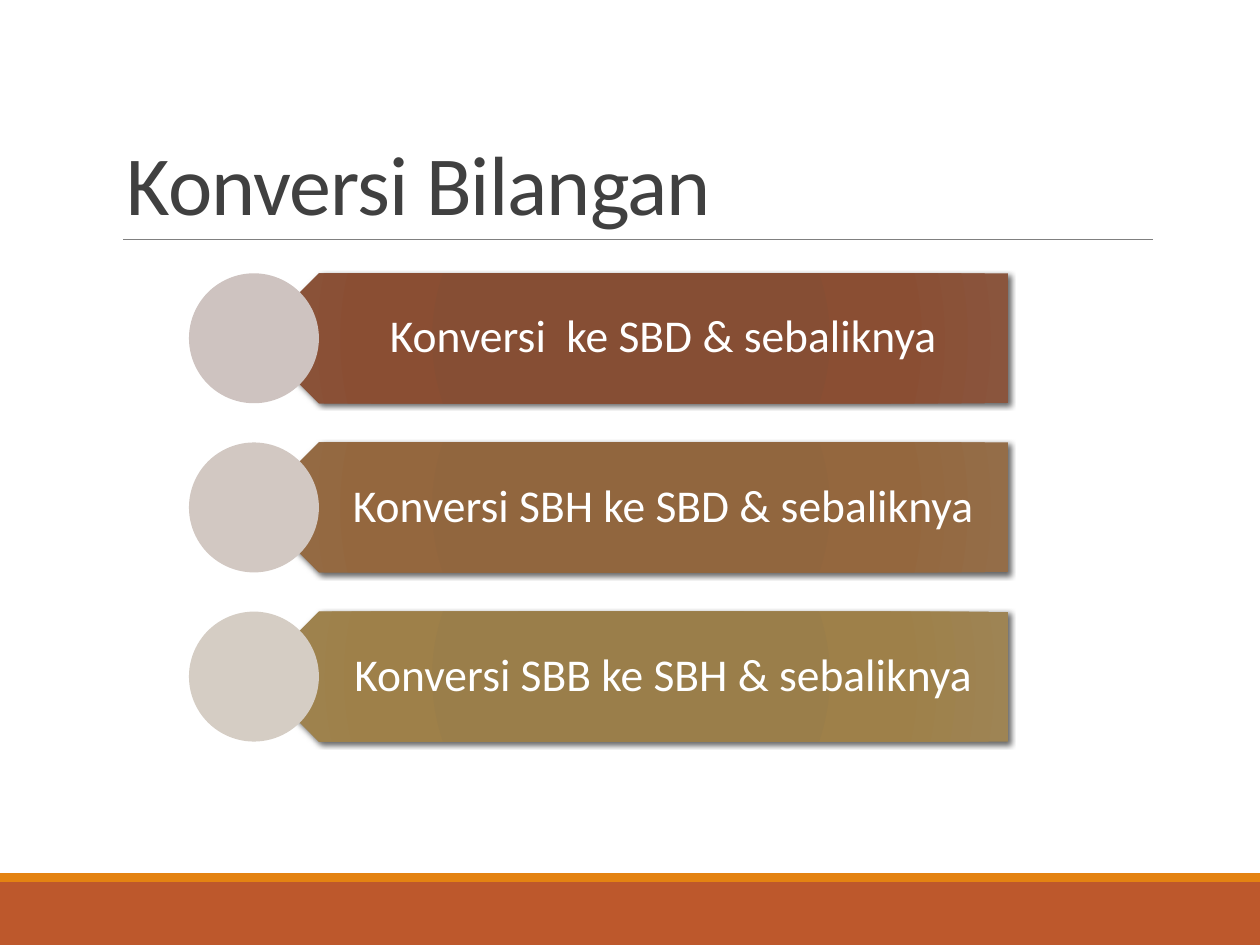
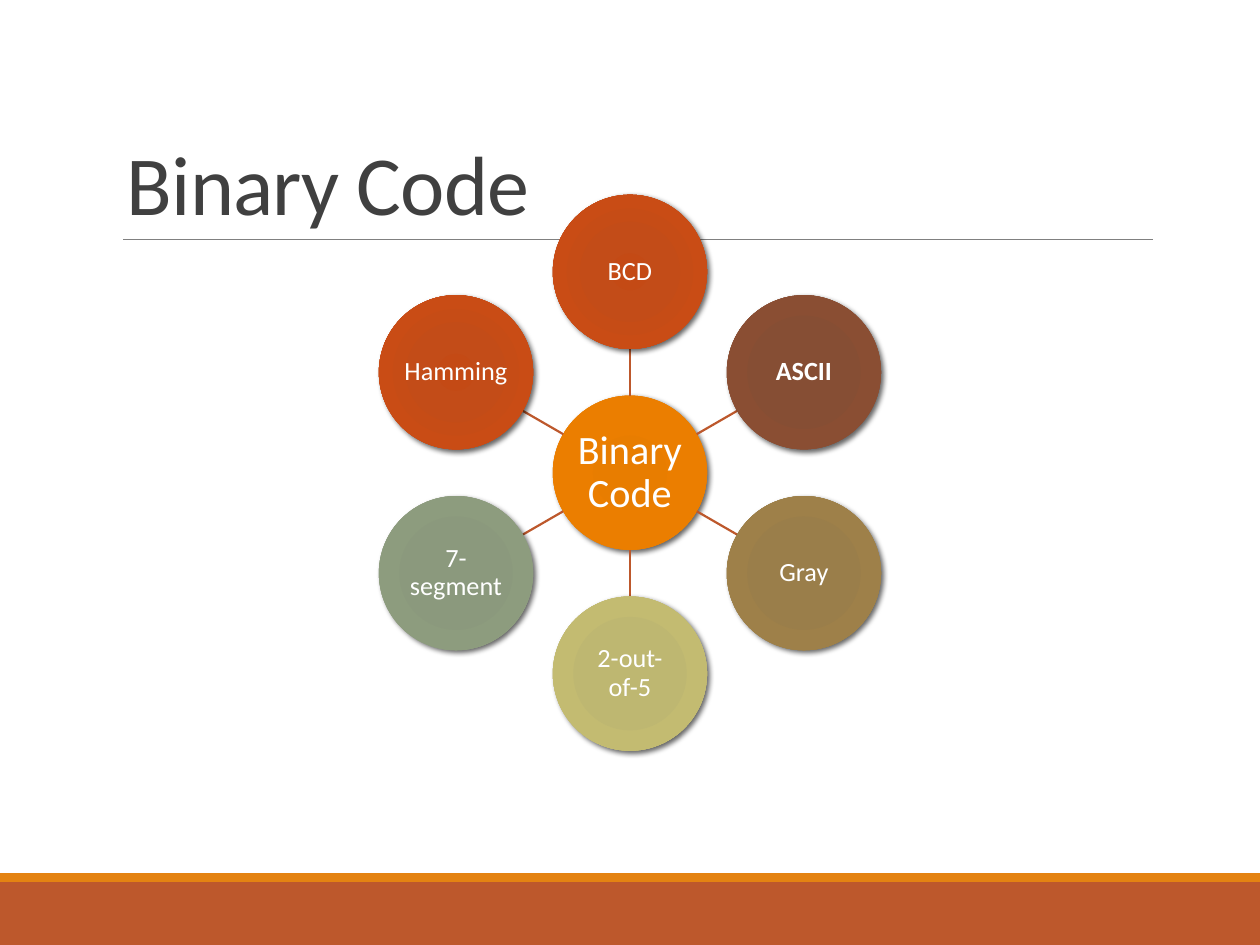
from dataclasses import dataclass
from math import cos, radians, sin
from typing import Any

from lxml import etree
from pptx import Presentation
from pptx.dml.color import RGBColor
from pptx.enum.shapes import MSO_CONNECTOR, MSO_SHAPE
from pptx.enum.text import MSO_ANCHOR, PP_ALIGN
from pptx.oxml.ns import qn
from pptx.util import Cm, Pt

STRAIGHT = MSO_CONNECTOR.STRAIGHT
RECTANGLE, PENTAGON, OVAL = MSO_SHAPE.RECTANGLE, MSO_SHAPE.PENTAGON, MSO_SHAPE.OVAL
MIDDLE, BOTTOM = MSO_ANCHOR.MIDDLE, MSO_ANCHOR.BOTTOM
CENTER, LEFT = PP_ALIGN.CENTER, PP_ALIGN.LEFT

FONT = "Calibri"
COLOURS = {
    "band": "BD582C", "stripe": "E48312", "rule": "808080",
    "title": "404040", "white": "FFFFFF", "shadow": "000000",
    "rose": "CEC3C0", "taupe": "D2C8C2", "sand": "D5CDC4",
}
# Radial gradients, one colour for each stop
STOPS = (0, 34, 70, 100)
GRADIENTS = {
    "orange": ("E57B00", "E87D00", "EB7E00", "EF8407"),
    "red": ("C44A15", "C34C18", "C94C15", "C45525"),
    "brown": ("874C32", "864E34", "8A4E33", "8A553D"),
    "copper": ("91653C", "91663E", "94673E", "946D48"),
    "bronze": ("9A7D48", "9A7E4A", "9E8049", "9E8454"),
    "olive": ("BEB76E", "BEB771", "C3BB71", "C5BF7D"),
    "sage": ("8A987B", "8B997D", "8D9C7E", "94A187"),
}

# Page measures in cm
PAGE_WIDTH, PAGE_HEIGHT = 25.4, 19.05
BAND_TOP, STRIPE_HEIGHT = 17.78, 0.18
RULE_LEFT, RULE_RIGHT, RULE_Y = 2.48, 23.24, 4.83
TITLE_AREA = (2.31, 0.79, 20.95, 4.04)

# Bar list measures in cm
BAR_LEFT, BAR_TOP, BAR_WIDTH, BAR_HEIGHT, BAR_PITCH = 5.12, 5.51, 15.2, 2.62, 3.41
LABEL_INDENT = 0.65

# Wheel measures in cm
HUB_X, HUB_Y, DIAMETER, ORBIT = 12.7, 9.53, 3.11, 4.05


@dataclass(frozen=True)
class TextStyle:
    size: float
    colour: str = "white"
    bold: bool = False
    spacing: float = 0.9
    align: Any = CENTER
    anchor: Any = MIDDLE
    margins: tuple[float, float, float, float] = (0.03, 0.03, 0.03, 0.03)
    tracking: int = 0


@dataclass(frozen=True)
class Bar:
    label: str
    gradient: str
    dot: str


@dataclass(frozen=True)
class Code:
    label: str
    gradient: str
    bold: bool = False


TITLE_STYLE = TextStyle(48, "title", False, 0.85, LEFT, BOTTOM,
                        (0.25, 0.13, 0.25, 0.13), -50)
BAR_STYLE = TextStyle(26, margins=(1.17, 0.28, 0.51, 0.28))
# The hub label needs the full width of its disc to stay on two lines
HUB_STYLE = TextStyle(23, margins=(0, 0, 0, 0))

BARS = (
    Bar("Konversi  ke SBD & sebaliknya", "brown", "rose"),
    Bar("Konversi SBH ke SBD & sebaliknya", "copper", "taupe"),
    Bar("Konversi SBB ke SBH & sebaliknya", "bronze", "sand"),
)
# Clockwise from the top
CODES = (
    Code("BCD", "red"),
    Code("ASCII", "brown", True),
    Code("Gray", "bronze"),
    Code("2-out-of-5", "olive"),
    Code("7-segment", "sage"),
    Code("Hamming", "red"),
)


def rgb(name: str) -> RGBColor:
    return RGBColor.from_string(COLOURS[name])


def set_values(target: Any, values: dict[str, Any]) -> None:
    for name, value in values.items():
        setattr(target, name, value)


def add_node(parent: Any, tag: str, **values: Any) -> Any:
    return etree.SubElement(parent, qn(tag), {k: str(v) for k, v in values.items()})


def write_text(shape: Any, text: str, style: TextStyle) -> None:
    frame = shape.text_frame
    left, top, right, bottom = map(Cm, style.margins)
    set_values(frame, {
        "word_wrap": True, "vertical_anchor": style.anchor,
        "margin_left": left, "margin_top": top,
        "margin_right": right, "margin_bottom": bottom,
    })
    para = frame.paragraphs[0]
    set_values(para, {"alignment": style.align, "line_spacing": style.spacing})
    span = para.add_run()
    span.text = text
    set_values(span.font, {"name": FONT, "size": Pt(style.size), "bold": style.bold})
    span.font.color.rgb = rgb(style.colour)
    if style.tracking:
        span.font._element.set("spc", str(style.tracking))


def add_box(page: Any, area: tuple[float, ...], text: str, style: TextStyle) -> None:
    write_text(page.shapes.add_textbox(*map(Cm, area)), text, style)


def add_flat(page: Any, kind: Any, area: tuple[float, ...], colour: str) -> Any:
    shape = page.shapes.add_shape(kind, *map(Cm, area))
    shape.shadow.inherit = False
    shape.fill.solid()
    shape.fill.fore_color.rgb = rgb(colour)
    shape.line.fill.background()
    return shape


def add_glossy(page: Any, kind: Any, area: tuple[float, ...], gradient: str) -> Any:
    """Add a shape with a radial gradient and a soft shadow."""
    shape = add_flat(page, kind, area, "white")
    shape.fill.gradient()
    properties = shape.element.spPr
    fill = properties.find(qn("a:gradFill"))
    fill.clear()
    fill.set("rotWithShape", "1")
    stops = add_node(fill, "a:gsLst")
    for position, colour in zip(STOPS, GRADIENTS[gradient]):
        stop = add_node(stops, "a:gs", pos=position * 1000)
        add_node(stop, "a:srgbClr", val=colour)
    circle = add_node(fill, "a:path", path="circle")
    add_node(circle, "a:fillToRect", l=100000, t=100000, r=100000, b=100000)

    shadow = add_node(properties.find(qn("a:effectLst")), "a:outerShdw",
                      blurRad=Pt(3), dist=Pt(2), dir=45 * 60000, rotWithShape=0)
    tint = add_node(shadow, "a:srgbClr", val=COLOURS["shadow"])
    add_node(tint, "a:alpha", val=60000)
    return shape


def add_line(page: Any, ends: tuple[float, ...], colour: str, width: float) -> None:
    connector = page.shapes.add_connector(STRAIGHT, *map(Cm, ends))
    connector.line.color.rgb = rgb(colour)
    connector.line.width = Pt(width)
    add_node(connector.element.spPr, "a:effectLst")


def add_page(deck: Any, title: str) -> Any:
    """Add a blank page with the shared bands, rule and title."""
    page = deck.slides.add_slide(deck.slide_layouts[6])
    add_flat(page, RECTANGLE, (0, BAND_TOP, PAGE_WIDTH, PAGE_HEIGHT - BAND_TOP), "band")
    add_flat(page, RECTANGLE,
             (0, BAND_TOP - STRIPE_HEIGHT, PAGE_WIDTH, STRIPE_HEIGHT), "stripe")
    add_line(page, (RULE_LEFT, RULE_Y, RULE_RIGHT, RULE_Y), "rule", 0.5)
    add_box(page, TITLE_AREA, title, TITLE_STYLE)
    return page


def draw_bars(page: Any) -> None:
    for row, bar in enumerate(BARS):
        top = BAR_TOP + row * BAR_PITCH
        plate = add_glossy(page, PENTAGON, (BAR_LEFT, top, BAR_WIDTH, BAR_HEIGHT),
                           bar.gradient)
        plate.rotation = 180
        add_box(page, (BAR_LEFT + LABEL_INDENT, top, BAR_WIDTH - LABEL_INDENT, BAR_HEIGHT),
                bar.label, BAR_STYLE)
        add_flat(page, OVAL, (BAR_LEFT - BAR_HEIGHT / 2, top, BAR_HEIGHT, BAR_HEIGHT),
                 bar.dot)


def add_disc(page: Any, x: float, y: float, code: Code, style: TextStyle) -> None:
    radius = DIAMETER / 2
    disc = add_glossy(page, OVAL, (x - radius, y - radius, DIAMETER, DIAMETER),
                      code.gradient)
    write_text(disc, code.label, style)


def draw_wheel(page: Any) -> None:
    add_disc(page, HUB_X, HUB_Y, Code("Binary Code", "orange"), HUB_STYLE)
    inner, outer = DIAMETER / 2, ORBIT - DIAMETER / 2
    for index, code in enumerate(CODES):
        angle = radians(index * 360 / len(CODES) - 90)
        across, down = cos(angle), sin(angle)
        add_line(page, (HUB_X + inner * across, HUB_Y + inner * down,
                        HUB_X + outer * across, HUB_Y + outer * down), "band", 1.25)
        add_disc(page, HUB_X + ORBIT * across, HUB_Y + ORBIT * down, code,
                 TextStyle(15, bold=code.bold))


def main() -> None:
    deck = Presentation()
    set_values(deck, {"slide_width": Cm(PAGE_WIDTH), "slide_height": Cm(PAGE_HEIGHT)})
    draw_bars(add_page(deck, "Konversi Bilangan"))
    draw_wheel(add_page(deck, "Binary Code"))
    deck.save("out.pptx")


if __name__ == "__main__":
    main()
